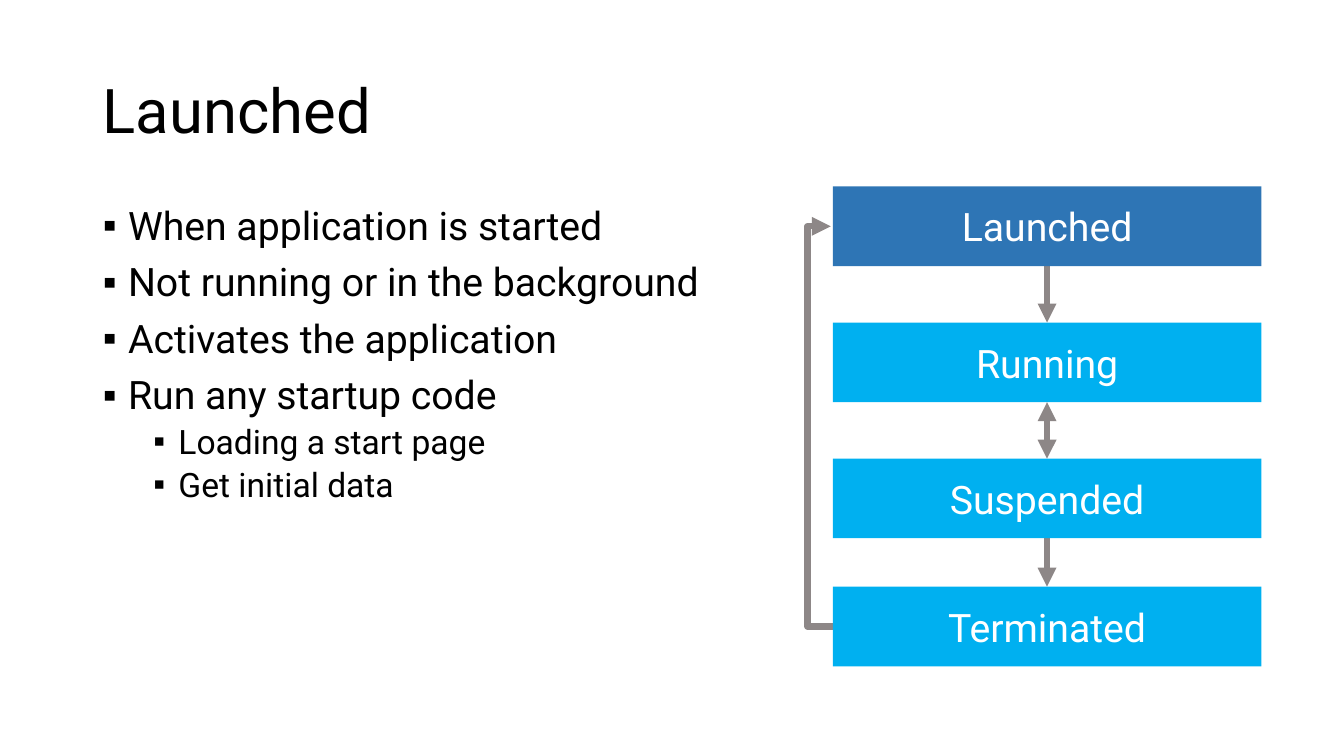
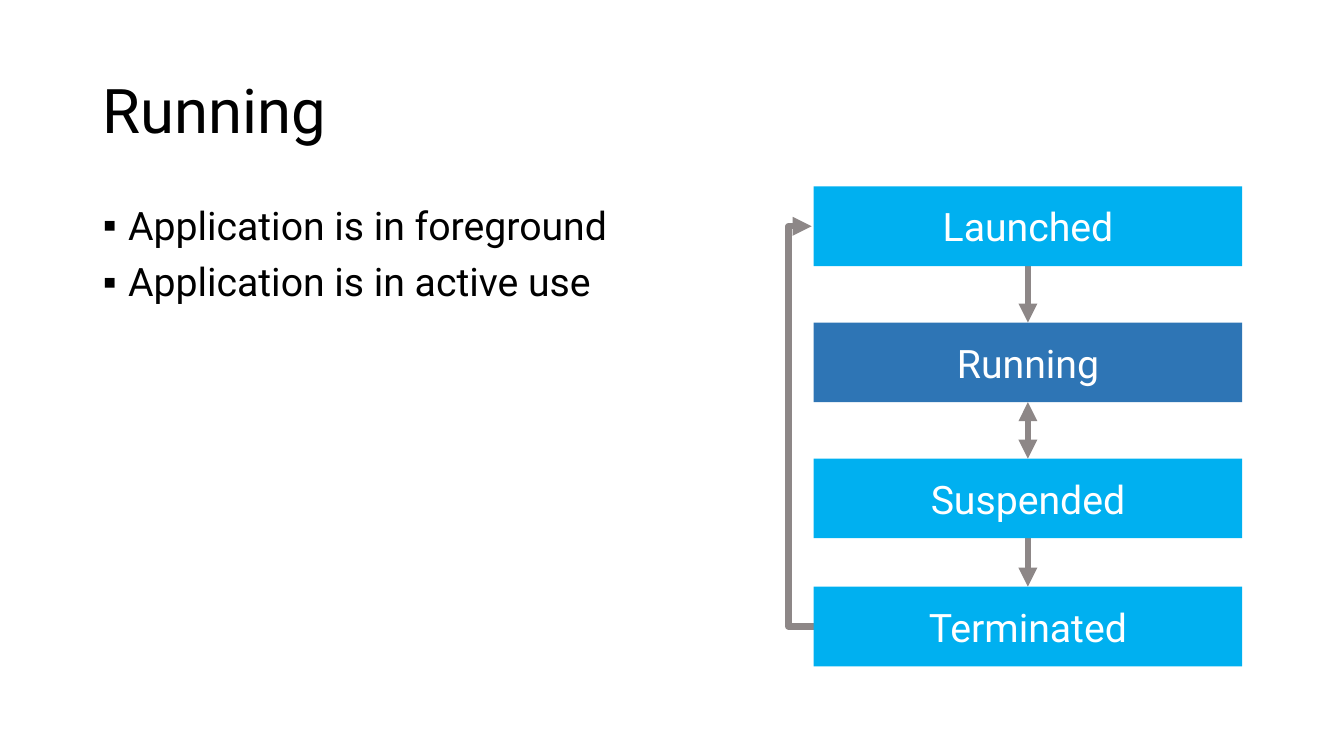
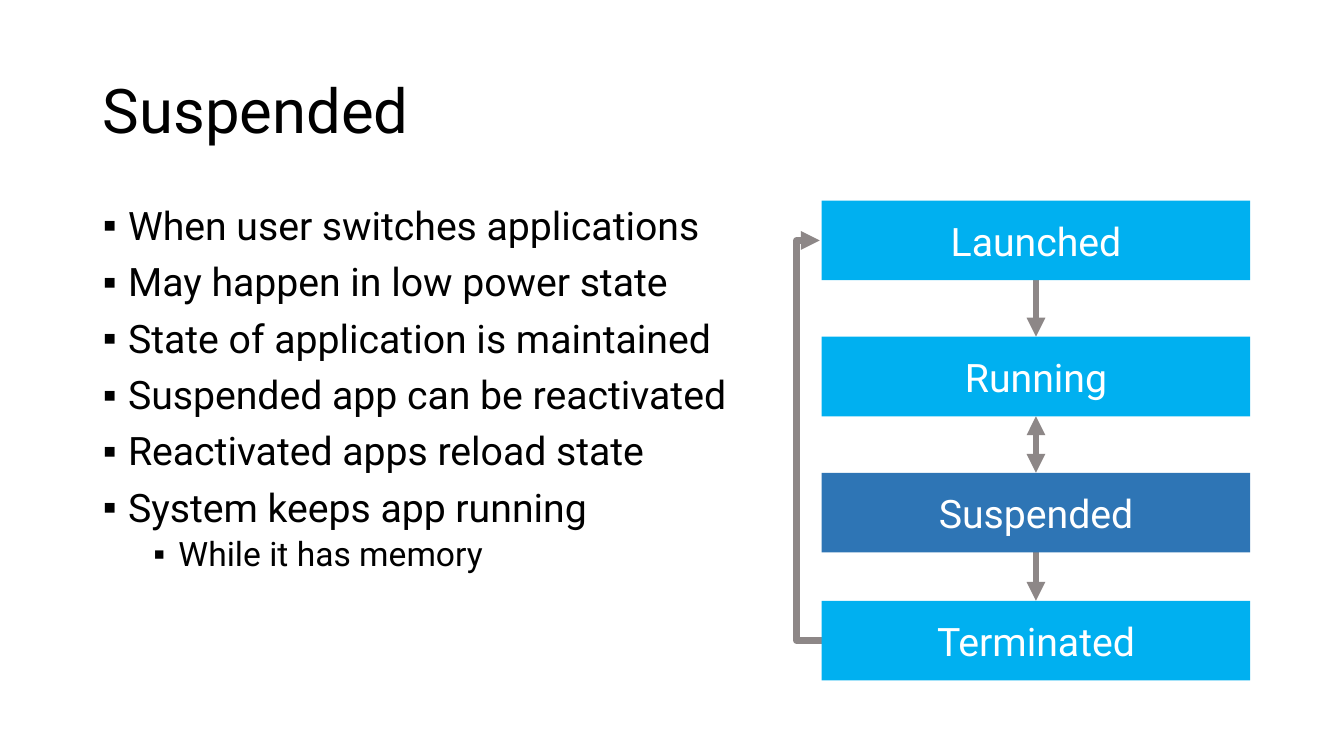
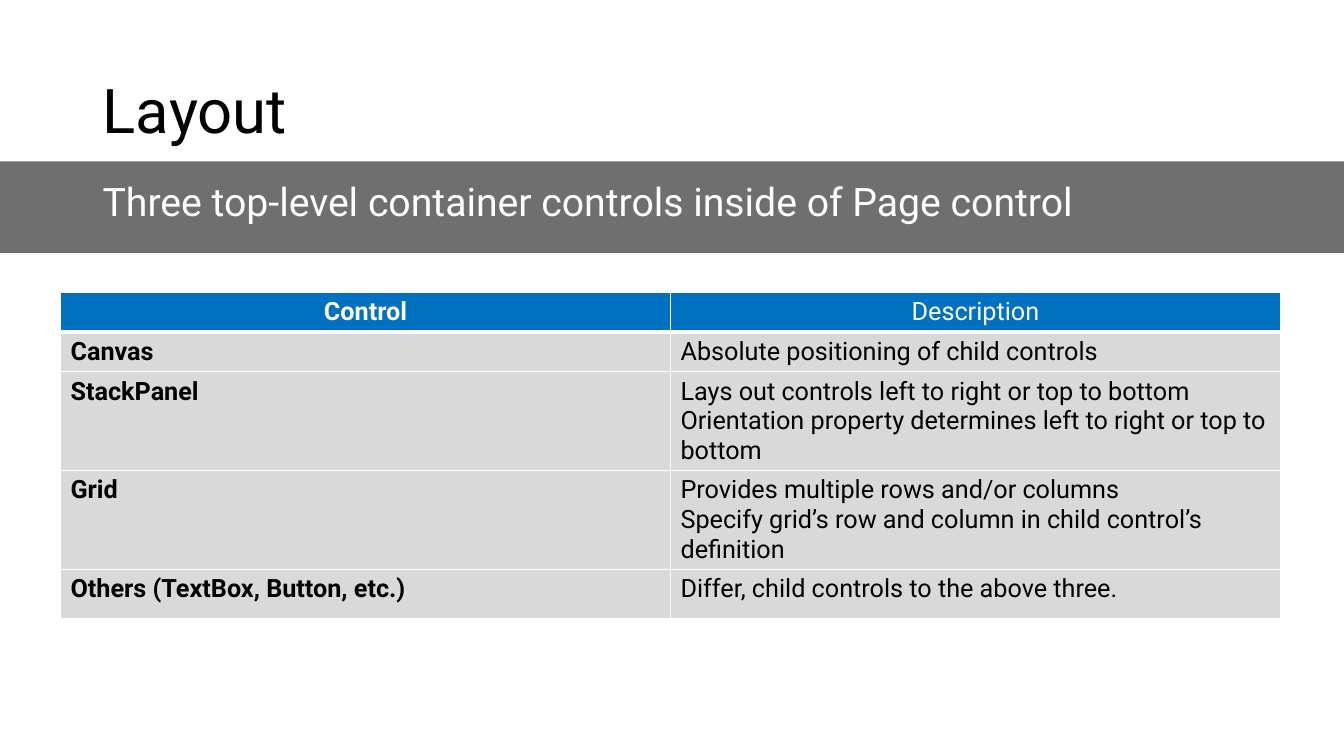
from lxml import etree
from pptx import Presentation
from pptx.dml.color import RGBColor
from pptx.enum.shapes import MSO_CONNECTOR, MSO_SHAPE
from pptx.enum.text import MSO_ANCHOR, MSO_AUTO_SIZE, PP_ALIGN
from pptx.oxml.ns import qn
from pptx.util import Inches, Pt

RECTANGLE = MSO_SHAPE.RECTANGLE
STRAIGHT, ELBOW = MSO_CONNECTOR.STRAIGHT, MSO_CONNECTOR.ELBOW
MIDDLE, TOP = MSO_ANCHOR.MIDDLE, MSO_ANCHOR.TOP
LEFT, CENTER = PP_ALIGN.LEFT, PP_ALIGN.CENTER
NO_FIT = MSO_AUTO_SIZE.NONE

# Shared style
FONT = "Roboto"
BLACK, WHITE = "000000", "FFFFFF"
STATE_BLUE, ACTIVE_BLUE, ARROW_GREY = "00B0F0", "2E75B5", "8D8787"
HEADER_BLUE, ROW_GREY, BAND_GREY = "0070C0", "D9D9D9", "6F6F6F"
MARGIN = 0.92
TITLE_LAYOUTS = {"bullets": 1, "table": 5}


def color(value):
    return RGBColor.from_string(value)


def add_span(para, text, size, value, bold=False):
    span = para.add_run()
    span.text = text
    span.font.name = FONT
    span.font.size = Pt(size)
    span.font.bold = bold
    span.font.color.rgb = color(value)


# State slides: title, diagram corner, bullets as (level, text)
STATE_SLIDES = [
    ("Launched", (8.26, 1.85), [
        (0, "When application is started"),
        (0, "Not running or in the background"),
        (0, "Activates the application"),
        (0, "Run any startup code"),
        (1, "Loading a start page"),
        (1, "Get initial data"),
    ]),
    ("Running", (8.07, 1.85), [
        (0, "Application is in foreground"),
        (0, "Application is in active use"),
    ]),
    ("Suspended", (8.15, 1.99), [
        (0, "When user switches applications"),
        (0, "May happen in low power state"),
        (0, "State of application is maintained"),
        (0, "Suspended app can be reactivated"),
        (0, "Reactivated apps reload state"),
        (0, "System keeps app running"),
        (1, "While it has memory"),
    ]),
]

# Diagram: each state with its distance below the first one
STATES = [("Launched", 0), ("Running", 1.35), ("Suspended", 2.7), ("Terminated", 3.97)]
STATE_WIDTH, STATE_HEIGHT = 4.25, 0.79
LOOP_REACH, LOOP_WIDTH = 0.25, 0.02

deck = Presentation()
deck.slide_width, deck.slide_height = Inches(13.33), Inches(7.5)

# Pages and their titles
pages = []
for title, kind in [(slide[0], "bullets") for slide in STATE_SLIDES] + [("Layout", "table")]:
    page = deck.slides.add_slide(deck.slide_layouts[TITLE_LAYOUTS[kind]])
    box = page.shapes.title
    box.left, box.top = Inches(MARGIN), Inches(0.4)
    box.width, box.height = Inches(11.5), Inches(1.45)
    box.text_frame.auto_size = NO_FIT
    box.text_frame.vertical_anchor = MIDDLE
    para = box.text_frame.paragraphs[0]
    para.alignment = LEFT
    para.line_spacing = 0.9
    add_span(para, title, 44, BLACK)
    pages.append(page)

for page, (title, (left, top), bullets) in zip(pages, STATE_SLIDES):
    # Bullet list
    box = page.placeholders[1]
    box.left, box.top = Inches(MARGIN), Inches(2)
    box.width, box.height = Inches(6.95), Inches(4.76)
    frame = box.text_frame
    frame.auto_size = NO_FIT
    frame.vertical_anchor = TOP
    for index, (level, text) in enumerate(bullets):
        para = frame.add_paragraph() if index else frame.paragraphs[0]
        para.level = level
        para.line_spacing = 0.9
        para.space_before = Pt((10, 5)[level] if index else 0)
        properties = para._p.get_or_add_pPr()
        properties.set("marL", str(Inches((0.25, 0.75)[level])))
        properties.set("indent", str(Inches(-0.25)))
        etree.SubElement(properties, qn("a:buChar")).set("char", "▪")
        add_span(para, text, (28, 24)[level], BLACK)

    # Arrows: kind, start, end, arrowheads
    middle = left + STATE_WIDTH / 2
    loop_top = top + STATE_HEIGHT / 2
    arrows = [(ELBOW, (left - LOOP_WIDTH, loop_top), (left, loop_top + STATES[-1][1]), ["tailEnd"])]
    for (name, upper), (_, lower) in zip(STATES, STATES[1:]):
        ends = ["headEnd", "tailEnd"] if name == "Running" else ["tailEnd"]
        arrows.append((STRAIGHT, (middle, top + upper + STATE_HEIGHT), (middle, top + lower), ends))
    for kind, start, end, ends in arrows:
        arrow = page.shapes.add_connector(kind, *[Inches(value) for value in start + end])
        arrow.line.color.rgb = color(ARROW_GREY)
        arrow.line.width = Pt(4.5)
        properties = arrow._element.spPr
        line = properties.find(qn("a:ln"))
        for name in ends:
            etree.SubElement(line, qn("a:" + name)).set("type", "triangle")
        etree.SubElement(properties, qn("a:effectLst"))
        if kind == ELBOW:
            # Half a turn leads the loop from the last state back to the first
            properties.find(qn("a:xfrm")).set("rot", "10800000")
            guides = properties.find(qn("a:prstGeom")).get_or_add_avLst()
            guide = etree.SubElement(guides, qn("a:gd"))
            guide.set("name", "adj1")
            guide.set("fmla", f"val {round(LOOP_REACH / LOOP_WIDTH * 100000)}")

    # State boxes
    for name, offset in STATES:
        box = page.shapes.add_shape(RECTANGLE, Inches(left), Inches(top + offset),
                                    Inches(STATE_WIDTH), Inches(STATE_HEIGHT))
        box.shadow.inherit = False
        box.fill.solid()
        box.fill.fore_color.rgb = color(ACTIVE_BLUE if name == title else STATE_BLUE)
        box.line.fill.background()
        box.text_frame.vertical_anchor = MIDDLE
        para = box.text_frame.paragraphs[0]
        para.alignment = CENTER
        add_span(para, name, 28, WHITE)

# Controls table
page = pages[-1]
ROWS = [
    (0.26, "Control", ["Description"]),
    (0.32, "Canvas", ["Absolute positioning of child controls"]),
    (0.64, "StackPanel", ["Lays out controls left to right or top to bottom",
                          "Orientation property determines left to right or top to bottom"]),
    (0.64, "Grid", ["Provides multiple rows and/or columns",
                    "Specify grid’s row and column in child control’s definition"]),
    (0.49, "Others (TextBox, Button, etc.)", ["Differ, child controls to the above three."]),
]
table = page.shapes.add_table(len(ROWS), 2, Inches(0.6), Inches(2.9), Inches(12.1),
                              Inches(sum(row[0] for row in ROWS))).table
for row, (height, control, description) in enumerate(ROWS):
    table.rows[row].height = Inches(height)
    for column, lines in enumerate([[control], description]):
        cell = table.cell(row, column)
        # White borders, thick below the header
        properties = cell._tc.get_or_add_tcPr()
        for side in "LRTB":
            thick = (row, side) in [(0, "B"), (1, "T")]
            border = etree.SubElement(properties, qn("a:ln" + side))
            border.set("w", str(Pt(3 if thick else 1)))
            paint = etree.SubElement(border, qn("a:solidFill"))
            etree.SubElement(paint, qn("a:srgbClr")).set("val", WHITE)
        cell.fill.solid()
        cell.fill.fore_color.rgb = color(ROW_GREY if row else HEADER_BLUE)
        for index, text in enumerate(lines):
            frame = cell.text_frame
            para = frame.add_paragraph() if index else frame.paragraphs[0]
            para.alignment = LEFT if row else CENTER
            add_span(para, text, 18, BLACK if row else WHITE, bold=column == 0)

# Band with the subtitle
band = page.shapes.add_shape(RECTANGLE, 0, Inches(1.6), deck.slide_width, Inches(0.91))
band.shadow.inherit = False
band.fill.solid()
band.fill.fore_color.rgb = color(BAND_GREY)
band.line.fill.background()
box = page.shapes.add_textbox(Inches(MARGIN), Inches(1.57), Inches(11.63), Inches(0.91))
box.text_frame.word_wrap = True
box.text_frame.vertical_anchor = MIDDLE
para = box.text_frame.paragraphs[0]
para.line_spacing = 0.9
add_span(para, "Three top-level container controls inside of Page control", 28, WHITE)

deck.save("out.pptx")
